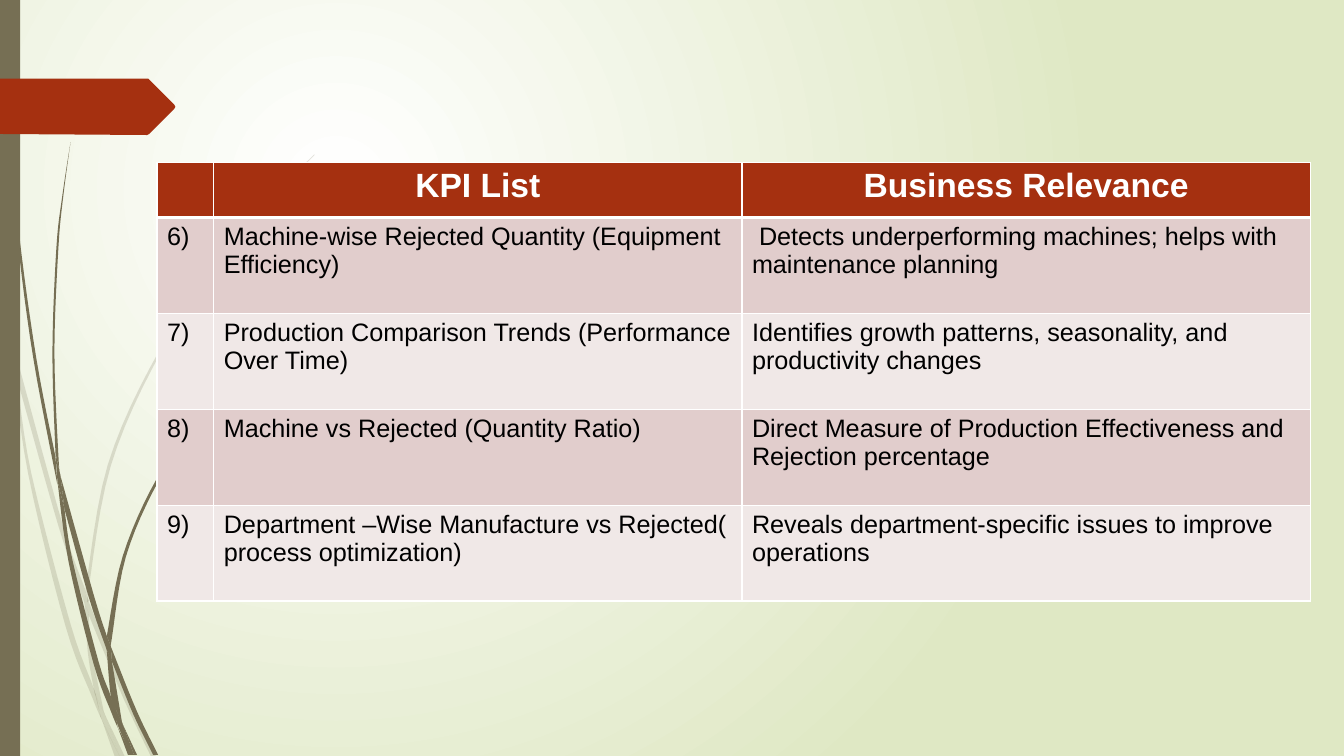
from dataclasses import dataclass

from lxml import etree
from pptx import Presentation
from pptx import util as u
from pptx.dml.color import RGBColor
from pptx.enum import shapes, text
from pptx.oxml import ns

Point = tuple[float, float]


@dataclass(frozen=True)
class Theme:
    """Colours and type sizes of the slide."""
    font: str = "Arial"
    rust: str = "A53010"
    olive: str = "766F54"
    white: str = "FFFFFF"
    black: str = "000000"
    glow_edge: str = "DFE8C4"
    bands: tuple[str, str] = ("E1CDCC", "F0E8E7")
    header_size: int = 24
    body_size: int = 18
    faint_alpha: int = 20


@dataclass(frozen=True)
class Blade:
    """A grass segment: a curve going out and a curve coming back."""
    out: list[Point]
    back: list[Point]


@dataclass(frozen=True)
class Kpi:
    number: str
    name: str
    relevance: str


THEME = Theme()
UNIT = 72  # points in one unit of the blade coordinates
STEPS = 6  # straight pieces per curve span

# Faint grass behind
FAINT_BLADES = [
    Blade([(0.11, 3.5), (0.09, 3.22), (0, 2.82)], [(0, 2.99), (0.1, 3.44)]),
    Blade([(0.14, 3.45), (0.62, 5.2), (0.85, 5.86)], [(0.84, 5.99), (0.58, 5.22), (0.17, 3.76)]),
    Blade([(0.88, 5.96), (0.92, 6.07), (1.27, 6.92), (1.55, 7.51)],
          [(1.5, 7.51), (1.23, 6.94), (0.88, 6.1)]),
    Blade([(1.19, 7.51), (1.24, 7.51)], [(1.05, 7.11)]),
    Blade([(0.11, 3.5), (0.28, 4.7), (0.65, 6.21), (0.92, 6.93), (1.01, 7.14)],
          [(0.99, 7.07), (0.93, 6.83), (0.7, 6.19), (0.31, 4.69), (0.17, 3.76)]),
    Blade([(0.84, 5.99), (0.87, 6.46), (0.93, 6.83), (0.96, 6.92), (1.05, 7.11)],
          [(1.03, 7.06), (0.91, 6.46), (0.88, 6.08)]),
    Blade([(0.88, 5.96), (0.88, 5.84), (1.1, 4.62), (1.6, 3.49), (2.29, 2.45), (2.68, 1.98), (3.12, 1.54)],
          [(3.12, 1.53), (2.68, 1.97), (2.28, 2.44), (1.58, 3.48), (1.07, 4.61), (0.85, 5.84)]),
    Blade([(1.01, 7.14), (1.14, 7.51)], [(1.19, 7.51)]),
    Blade([(0.88, 6.08), (0.88, 5.96)], [(0.85, 5.86), (0.84, 5.99)]),
    Blade([(0.93, 6.83), (0.99, 7.07), (1.01, 7.14), (1.19, 7.51)], [(1.05, 7.11), (0.96, 6.92)]),
]

# Solid grass in front
SOLID_BLADES = [
    Blade([(0.03, 0), (0.04, 0.48), (0.07, 1.1), (0.17, 2.33), (0.33, 3.55), (0.57, 4.81)],
          [(0.55, 4.53), (0.36, 3.55), (0.19, 2.32), (0.08, 1.09), (0.04, 0)]),
    Blade([(0.6, 4.72), (0.93, 5.9), (1.06, 6.31)], [(1.06, 6.45), (0.88, 5.92), (0.64, 5.05)]),
    Blade([(1.1, 6.41), (1.13, 6.49), (1.36, 7.06), (1.57, 7.49)],
          [(1.52, 7.49), (1.32, 7.08), (1.11, 6.56)]),
    Blade([(0.57, 4.77), (0.68, 5.57), (0.93, 6.59), (1.11, 7.08), (1.17, 7.22)],
          [(1.16, 7.17), (1.1, 6.91), (0.98, 6.57), (0.72, 5.56), (0.64, 5.05)]),
    Blade([(0.6, 4.72), (0.58, 4.53), (0.54, 3.49), (0.58, 2.45), (0.63, 1.93), (0.7, 1.41)],
          [(0.7, 1.41), (0.62, 1.93), (0.56, 2.45), (0.52, 3.49), (0.55, 4.49)]),
    Blade([(1.33, 7.49), (1.36, 7.49)], [(1.22, 7.19)]),
    Blade([(0.57, 4.77), (0.64, 5.05)], [(0.6, 4.72), (0.55, 4.49)]),
    Blade([(1.1, 6.41), (1.11, 6.33), (1.25, 5.52), (1.58, 4.76), (2.05, 4.06), (2.31, 3.74), (2.61, 3.44)],
          [(2.6, 3.44), (2.31, 3.73), (2.04, 4.05), (1.56, 4.74), (1.22, 5.51), (1.06, 6.31)]),
    Blade([(1.17, 7.22), (1.27, 7.49)], [(1.31, 7.49)]),
    Blade([(1.06, 6.45), (1.1, 6.91), (1.16, 7.06), (1.22, 7.19)],
          [(1.21, 7.16), (1.11, 6.56), (1.09, 6.51)]),
    Blade([(1.06, 6.45), (1.11, 6.56)], [(1.1, 6.41), (1.06, 6.31)]),
    Blade([(1.1, 6.91), (1.16, 7.17), (1.3, 7.49)], [(1.33, 7.49), (1.22, 7.19), (1.16, 7.06)]),
]

TAG_OUTLINE = [(0, 0.78), (1.47, 0.78), (1.73, 1.04), (1.74, 1.06),
               (1.73, 1.08), (1.48, 1.33), (1.46, 1.34), (0, 1.33)]

HEADERS = ["", "KPI List", "Business Relevance"]
KPIS = [
    Kpi("6)", "Machine-wise Rejected Quantity (Equipment Efficiency)",
        " Detects underperforming machines; helps with maintenance planning"),
    Kpi("7)", "Production Comparison Trends (Performance Over Time)",
        "Identifies growth patterns, seasonality, and productivity changes"),
    Kpi("8)", "Machine vs Rejected (Quantity Ratio)",
        "Direct Measure of Production Effectiveness and Rejection percentage"),
    Kpi("9)", "Department –Wise Manufacture vs Rejected( process optimization)",
        "Reveals department-specific issues to improve operations"),
]


def rgb(code: str) -> RGBColor:
    return RGBColor.from_string(code)


def paint(shape, color: str, alpha: int = 100) -> None:
    shape.shadow.inherit = False
    shape.line.fill.background()
    shape.fill.solid()
    shape.fill.fore_color.rgb = rgb(color)
    if alpha < 100:
        tint = shape.fill._xPr.find(".//" + ns.qn("a:srgbClr"))
        etree.SubElement(tint, ns.qn("a:alpha"), val=str(alpha * 1000))


def smooth(anchors: list[Point]) -> list[Point]:
    """Catmull-Rom curve through the anchors."""
    ends = [anchors[0], *anchors, anchors[-1]]
    curve = [anchors[0]]
    for before, start, end, after in zip(ends, ends[1:], ends[2:], ends[3:]):
        for step in range(1, STEPS + 1):
            t = step / STEPS
            curve.append(tuple(
                (2 * b + (c - a) * t + (2 * a - 5 * b + 4 * c - d) * t ** 2
                 + (3 * b - a - 3 * c + d) * t ** 3) / 2
                for a, b, c, d in zip(before, start, end, after)))
    return curve


def add_outline(page, outline: list[Point], color: str, alpha: int = 100) -> None:
    points = [(u.Pt(x * UNIT), u.Pt(y * UNIT)) for x, y in outline]
    builder = page.shapes.build_freeform(*points[0])
    builder.add_line_segments(points[1:], close=True)
    paint(builder.convert_to_shape(), color, alpha)


def add_background(page) -> None:
    fill = page.background.fill
    fill.gradient()
    for stop, color, position in zip(fill.gradient_stops, (THEME.white, THEME.glow_edge), (0, 1)):
        stop.color.rgb = rgb(color)
        stop.position = position
    gradient = page.element.find(".//" + ns.qn("a:gradFill"))
    gradient.remove(gradient.find(ns.qn("a:lin")))
    glow = etree.SubElement(gradient, ns.qn("a:path"), {"path": "circle"})
    etree.SubElement(glow, ns.qn("a:fillToRect"), l="50000", t="50000", r="100000", b="100000")


def format_cell(cell, words: str, fill: str, header: bool, bottom: int) -> None:
    cell.text_frame.text = words
    para = cell.text_frame.paragraphs[0]
    para.alignment = text.PP_ALIGN.CENTER if header else text.PP_ALIGN.LEFT
    for span in para.runs:
        span.font.name = THEME.font
        span.font.size = u.Pt(THEME.header_size if header else THEME.body_size)
        span.font.bold = header
        span.font.color.rgb = rgb(THEME.white if header else THEME.black)
    # Borders come before the fill in the cell properties
    properties = cell._tc.get_or_add_tcPr()
    top = 3 if not header and bottom == 0 else 1
    for side, width in (("L", 1), ("R", 1), ("T", top), ("B", bottom or 1)):
        border = etree.SubElement(properties, ns.qn(f"a:ln{side}"), w=str(u.Pt(width)))
        paint_border = etree.SubElement(border, ns.qn("a:solidFill"))
        etree.SubElement(paint_border, ns.qn("a:srgbClr"), val=THEME.white)
    cell.fill.solid()
    cell.fill.fore_color.rgb = rgb(fill)


def add_kpi_table(page) -> None:
    rows = [HEADERS] + [[kpi.number, kpi.name, kpi.relevance] for kpi in KPIS]
    widths, heights = [40.5, 377.3, 406], [39.4] + [68.5] * len(KPIS)
    table = page.shapes.add_table(len(rows), len(widths), u.Pt(112.2), u.Pt(116),
                                  u.Pt(sum(widths)), u.Pt(sum(heights))).table
    for column, width in zip(table.columns, widths):
        column.width = u.Pt(width)
    for index, (row, height) in enumerate(zip(rows, heights)):
        table.rows[index].height = u.Pt(height)
        header = index == 0
        fill = THEME.rust if header else THEME.bands[(index - 1) % 2]
        bottom = 3 if header else 0 if index == 1 else 1
        for cell, words in zip(table.rows[index].cells, row):
            format_cell(cell, words, fill, header, bottom)


def main() -> None:
    deck = Presentation()
    deck.slide_width, deck.slide_height = u.Pt(960), u.Pt(540)
    page = deck.slides.add_slide(deck.slide_layouts[6])
    add_background(page)
    # Grass, side bar and tag
    for blades, alpha in ((FAINT_BLADES, THEME.faint_alpha), (SOLID_BLADES, 100)):
        for blade in blades:
            add_outline(page, smooth(blade.out) + smooth(blade.back), THEME.olive, alpha)
    bar = page.shapes.add_shape(shapes.MSO_SHAPE.RECTANGLE, 0, 0, u.Pt(14.4), u.Pt(540))
    paint(bar, THEME.olive)
    add_outline(page, TAG_OUTLINE, THEME.rust)
    add_kpi_table(page)
    deck.save("out.pptx")


if __name__ == "__main__":
    main()
